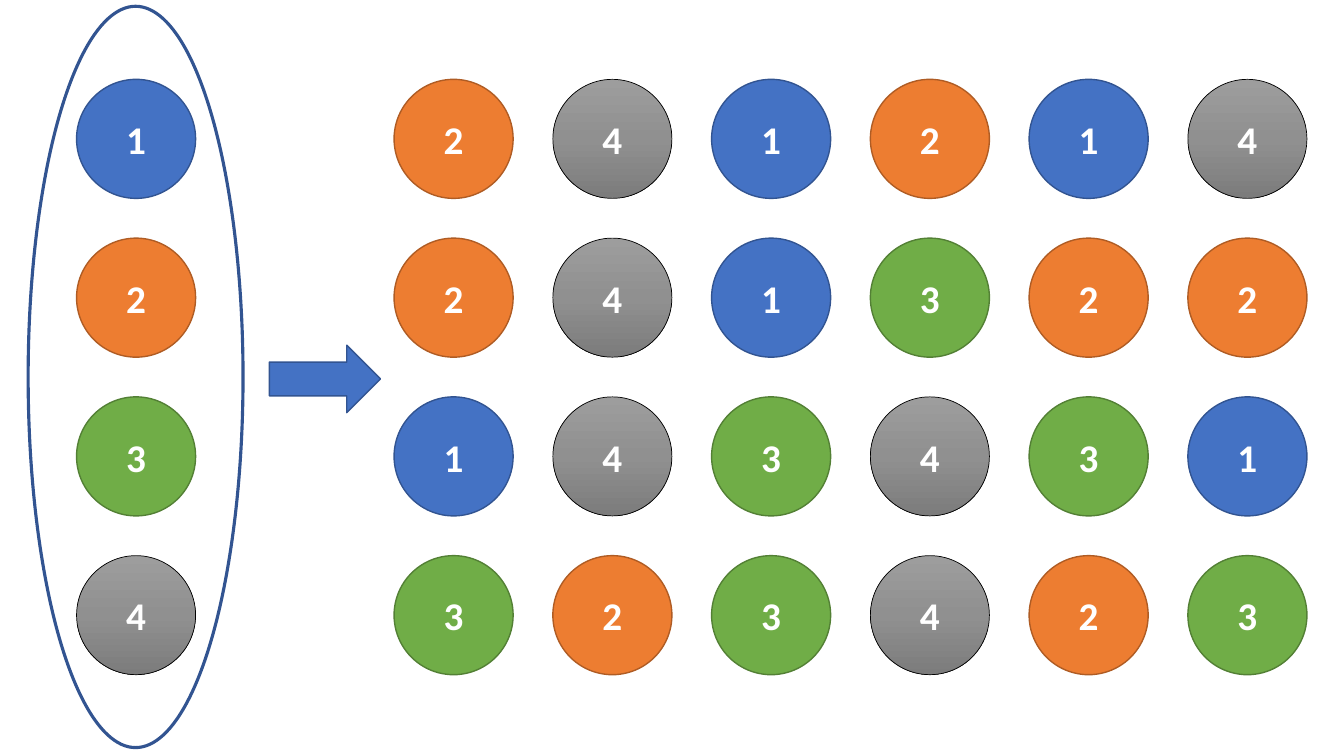
from copy import deepcopy

from pptx import Presentation
from pptx.dml.color import RGBColor as RGB
from pptx.enum.shapes import MSO_SHAPE as SHAPE
from pptx.enum.text import MSO_ANCHOR as ANCHOR, PP_ALIGN as ALIGN
from pptx.util import Pt

# Ball grid: one pitch serves both rows and columns
LEFT, TOP, SIZE, PITCH = 54.72, 56.7, 85.04, 113.4
FIRST = 2  # grid column where the sample starts

BLUE, NAVY = "4472C4", "325491"
GREY = [(0, "9D9D9D"), (0.5, "909090"), (1, "7C7C7C")]

# Number: fill, line colour, line width
BALLS = {
    "1": (BLUE, NAVY, 1),
    "2": ("ED7D31", "AF5C24", 1),
    "3": ("70AD47", "538035", 1),
    "4": (GREY, "000000", 0.5),
}
URN = "1234"
ROWS = ["241214", "241322", "143431", "323423"]

FONT = {"name": "Calibri", "size": Pt(28), "bold": True}
FRAME = {"margin_left": 0, "margin_right": 0, "word_wrap": True,
         "vertical_anchor": ANCHOR.MIDDLE}


def color(code):
    return RGB.from_string(code)


def style(item, values):
    for key, value in values.items():
        setattr(item, key, value)


def shade(shape, stops):
    """Fill a shape with a gradient running from top to bottom."""
    fill = shape.fill
    fill.gradient()
    fill.gradient_angle = 270
    first = shape.element.spPr.xpath("./a:gradFill/a:gsLst/a:gs")[0]
    for _ in stops[2:]:
        first.addnext(deepcopy(first))
    for stop, (place, code) in zip(fill.gradient_stops, stops):
        stop.position = place
        stop.color.rgb = color(code)


def draw(slide, kind, box, fill, line, width):
    shape = slide.shapes.add_shape(kind, *map(Pt, box))
    shape.shadow.inherit = False
    if fill is None:
        shape.fill.background()
    elif isinstance(fill, list):
        shade(shape, fill)
    else:
        shape.fill.solid()
        shape.fill.fore_color.rgb = color(fill)
    shape.line.color.rgb = color(line)
    shape.line.width = Pt(width)
    return shape


def ball(slide, col, row, num):
    box = (LEFT + col * PITCH, TOP + row * PITCH, SIZE, SIZE)
    frame = draw(slide, SHAPE.OVAL, box, *BALLS[num]).text_frame
    style(frame, FRAME)
    para = frame.paragraphs[0]
    para.alignment = ALIGN.CENTER
    run = para.add_run()
    run.text = num
    style(run.font, FONT)
    run.font.color.rgb = color("FFFFFF")


def main():
    deck = Presentation()
    style(deck, {"slide_width": Pt(960), "slide_height": Pt(540)})
    slide = deck.slides.add_slide(deck.slide_layouts[6])

    # Urn with one ball of each kind
    for row, num in enumerate(URN):
        ball(slide, 0, row, num)
    draw(slide, SHAPE.OVAL, (20.1, 4.5, 153.5, 529.5), None, NAVY, 2.25)

    # Arrow from the urn to the sample
    draw(slide, SHAPE.RIGHT_ARROW, (192.4, 246.6, 79.4, 48.2), BLUE, NAVY, 1)

    # Sample drawn with repeats
    for row, nums in enumerate(ROWS):
        for col, num in enumerate(nums, FIRST):
            ball(slide, col, row, num)

    deck.save("out.pptx")


if __name__ == "__main__":
    main()
